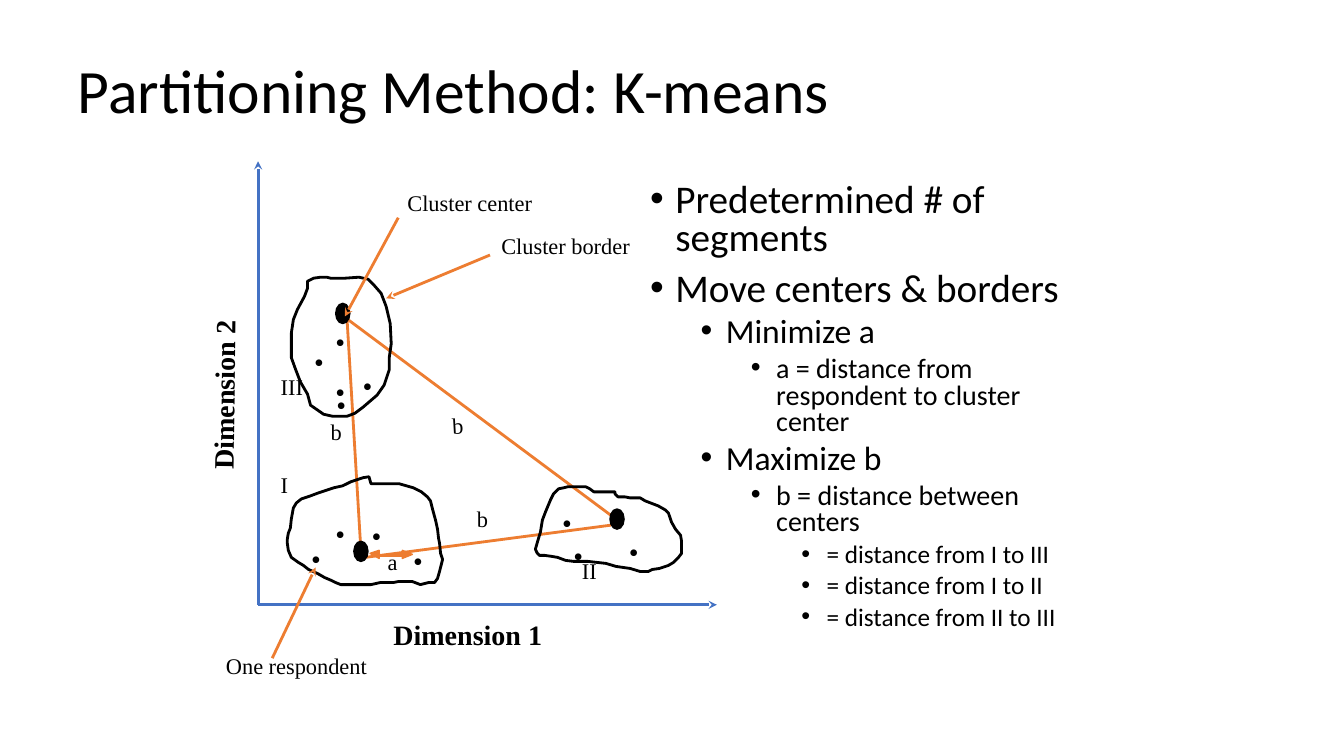
from lxml.etree import SubElement
from pptx import Presentation
from pptx.dml.color import RGBColor
from pptx.enum.shapes import MSO_CONNECTOR, MSO_SHAPE
from pptx.enum.text import MSO_ANCHOR, MSO_AUTO_SIZE, PP_ALIGN
from pptx.oxml.ns import qn
from pptx.util import Inches, Pt

BLACK = RGBColor(0x00, 0x00, 0x00)
ORANGE = RGBColor(0xED, 0x7D, 0x31)
BLUE = RGBColor(0x44, 0x72, 0xC4)
SANS = "Calibri"
SERIF = "Times New Roman"

BULLET_SIZES = [28, 24, 20, 18]
BULLETS = [
    (0, "Predetermined # of segments"),
    (0, "Move centers & borders"),
    (1, "Minimize a"),
    (2, "a = distance from respondent to cluster center"),
    (1, "Maximize b"),
    (2, "b = distance between centers"),
    (3, "= distance from I to III"),
    (3, "= distance from I to II"),
    (3, "= distance from II to III"),
]

RESPONDENTS = [
    (3.17, 3.17), (3.44, 3.61), (2.96, 3.37), (3.17, 3.67), (3.18, 3.8),
    (3.53, 5.09), (3.94, 5.34), (3.17, 5.08), (2.93, 5.32),
    (5.42, 4.97), (5.53, 5.29), (6.08, 5.25),
]
CENTERS = [(6.05, 5.05), (3.33, 3.01), (3.51, 5.37)]
CENTER_DISTANCES = [
    ((3.44, 3.13), (3.58, 5.47)),
    ((6.06, 5.21), (3.62, 5.53)),
    ((3.45, 3.17), (6.11, 5.15)),
]
CALLOUT_ARROWS = [
    ((2.7, 6.53), (3.13, 5.63)),
    ((3.95, 2.16), (3.42, 3.14)),
    ((4.86, 2.53), (3.83, 2.96)),
]
LABELS = [
    ("One respondent", 2.13, 6.42, 1.62),
    ("Cluster center", 3.93, 1.83, 1.46),
    ("Cluster border", 4.86, 2.25, 1.5),
    ("III", 2.68, 3.65, 0.43),
    ("I", 2.68, 4.62, 0.28),
    ("II", 5.67, 5.48, 0.35),
    ("b", 3.18, 4.1, 0.31),
]

BORDER_III = [
    (3.02, 2.94), (2.95, 3.07), (2.91, 3.17), (2.89, 3.3), (2.89, 3.55),
    (2.93, 3.66), (2.98, 3.79), (3.05, 3.91), (3.08, 4.02), (3.21, 4.11),
    (3.3, 4.13), (3.44, 4.13), (3.52, 4.1), (3.6, 4.04), (3.74, 3.92),
    (3.81, 3.82), (3.86, 3.67), (3.86, 3.55), (3.88, 3.41), (3.87, 3.21),
    (3.83, 3.04), (3.78, 2.91), (3.71, 2.83), (3.65, 2.77), (3.56, 2.75),
    (3.42, 2.76), (3.28, 2.76), (3.24, 2.75), (3.18, 2.75), (3.11, 2.76),
    (3.05, 2.79), (3.05, 2.86),
]
BORDER_I = [
    (2.94, 4.99), (2.99, 4.95), (3.08, 4.92), (3.16, 4.89), (3.25, 4.86),
    (3.31, 4.84), (3.4, 4.82), (3.48, 4.78), (3.54, 4.76), (3.6, 4.74),
    (3.66, 4.73), (3.68, 4.8), (3.96, 4.8), (4.1, 4.84), (4.18, 4.88),
    (4.24, 4.93), (4.27, 4.97), (4.29, 5.05), (4.32, 5.16), (4.34, 5.25),
    (4.35, 5.34), (4.36, 5.39), (4.37, 5.49), (4.39, 5.55), (4.36, 5.67),
    (4.34, 5.74), (4.31, 5.78), (4.25, 5.78), (4.17, 5.8), (4.09, 5.77),
    (3.95, 5.77), (3.9, 5.78), (3.77, 5.78), (3.68, 5.8), (3.38, 5.8),
    (3.33, 5.78), (3.29, 5.76), (3.22, 5.73), (3.15, 5.69), (3.06, 5.65),
    (3.01, 5.61), (2.96, 5.58), (2.89, 5.53), (2.86, 5.46), (2.85, 5.39),
    (2.85, 5.35), (2.86, 5.29), (2.88, 5.24), (2.89, 5.15), (2.91, 5.04),
]
BORDER_II = [
    (5.46, 4.96), (5.49, 4.9), (5.54, 4.85), (5.59, 4.84), (5.63, 4.83),
    (5.81, 4.83), (5.85, 4.85), (5.89, 4.88), (6.1, 4.88), (6.1, 4.9),
    (6.13, 4.93), (6.2, 4.93), (6.25, 4.94), (6.35, 4.94), (6.4, 4.97),
    (6.53, 5.02), (6.6, 5.06), (6.63, 5.09), (6.65, 5.15), (6.66, 5.18),
    (6.7, 5.25), (6.75, 5.31), (6.76, 5.37), (6.76, 5.49), (6.73, 5.53),
    (6.68, 5.58), (6.63, 5.61), (6.54, 5.64), (6.47, 5.65), (6.43, 5.67),
    (6.35, 5.67), (6.25, 5.64), (6.11, 5.62), (6.01, 5.59), (5.83, 5.57),
    (5.69, 5.57), (5.61, 5.56), (5.53, 5.53), (5.47, 5.52), (5.4, 5.51),
    (5.35, 5.51), (5.33, 5.49), (5.31, 5.45), (5.33, 5.38), (5.36, 5.28),
    (5.38, 5.16), (5.41, 5.08),
]
ARROWHEADS_A = [
    [(3.99, 5.46), (3.99, 5.54), (4.09, 5.5)],
    [(3.76, 5.54), (3.76, 5.46), (3.67, 5.49)],
]


def write(paragraph, text, font=SERIF, size=16, bold=False, align=PP_ALIGN.CENTER):
    paragraph.text = text
    paragraph.alignment = align
    paragraph.font.name = font
    paragraph.font.size = Pt(size)
    paragraph.font.bold = bold
    paragraph.font.color.rgb = BLACK


def add_label(slide, text, left, top, width, height=0.37, wrap=True, rotation=0, **style):
    label = slide.shapes.add_textbox(Inches(left), Inches(top), Inches(width), Inches(height))
    label.rotation = rotation
    label.text_frame.word_wrap = wrap
    label.text_frame.auto_size = MSO_AUTO_SIZE.SHAPE_TO_FIT_TEXT
    write(label.text_frame.paragraphs[0], text, **style)


def add_line(slide, start, end, color=ORANGE, arrow=False):
    x1, y1, x2, y2 = (Inches(value) for value in (*start, *end))
    line = slide.shapes.add_connector(MSO_CONNECTOR.STRAIGHT, x1, y1, x2, y2)
    line.line.color.rgb = color
    line.line.width = Pt(2)
    properties = line._element.spPr
    if arrow:
        SubElement(properties.find(qn("a:ln")), qn("a:tailEnd"), type="stealth")
    SubElement(properties, qn("a:effectLst"))


def paint(shape, line_color, line_width, fill=None):
    shape.shadow.inherit = False
    if fill is None:
        shape.fill.background()
    else:
        shape.fill.solid()
        shape.fill.fore_color.rgb = fill
    shape.line.color.rgb = line_color
    shape.line.width = Pt(line_width)


def add_outline(slide, points, line_color=BLACK, line_width=2, fill=None):
    corners = [(Inches(x), Inches(y)) for x, y in points]
    builder = slide.shapes.build_freeform(*corners[0])
    builder.add_line_segments(corners[1:], close=True)
    paint(builder.convert_to_shape(), line_color, line_width, fill)


def add_center(slide, left, top):
    center = slide.shapes.add_shape(
        MSO_SHAPE.OVAL, Inches(left), Inches(top), Inches(0.14), Inches(0.2))
    paint(center, BLACK, 1, BLACK)


def add_title(slide, text):
    title = slide.shapes.title
    title.left, title.top = Inches(0.67), Inches(0.3)
    title.width, title.height = Inches(12), Inches(1.25)
    title.text_frame.vertical_anchor = MSO_ANCHOR.MIDDLE
    heading = title.text_frame.paragraphs[0]
    write(heading, text, font=SANS, size=44, align=PP_ALIGN.LEFT)
    heading.line_spacing = 0.9


def add_bullets(slide):
    frame = slide.shapes.add_textbox(
        Inches(6.35), Inches(1.77), Inches(4.42), Inches(4.95)).text_frame
    frame.word_wrap = True
    for index, (level, text) in enumerate(BULLETS):
        item = frame.add_paragraph() if index else frame.paragraphs[0]
        item.level = level
        item.line_spacing = 0.8
        if index:
            item.space_before = Pt(5 if level else 10)
        properties = item._p.get_or_add_pPr()
        properties.set("marL", str(Inches(0.25 + 0.5 * level)))
        properties.set("indent", str(Inches(-0.25)))
        SubElement(properties, qn("a:buFont"), typeface="Arial")
        SubElement(properties, qn("a:buChar"), char="•")
        write(item, text, font=SANS, size=BULLET_SIZES[level], align=PP_ALIGN.LEFT)


def main():
    deck = Presentation()
    deck.slide_width, deck.slide_height = Inches(13.33), Inches(7.5)
    slide = deck.slides.add_slide(deck.slide_layouts.get_by_name("Title Only"))
    add_title(slide, "Partitioning Method: K-means")

    for start, end in CENTER_DISTANCES:
        add_line(slide, start, end)
    add_label(slide, "b", 4.61, 4.96, 0.35)
    add_label(slide, "b", 4.34, 4.04, 0.4, rotation=-3.3)
    add_bullets(slide)

    for arrowhead in ARROWHEADS_A:
        add_outline(slide, arrowhead, ORANGE, 1, ORANGE)
    add_line(slide, (3.74, 5.51), (4.01, 5.51))
    add_label(slide, "a", 3.73, 5.39, 0.33)

    origin = (2.56, 6)
    for axis_end in [(2.56, 1.6), (7.11, 6)]:
        add_line(slide, origin, axis_end, BLUE, arrow=True)
    add_label(slide, "Dimension 2", 0.86, 3.7, 2.72, 0.44, rotation=-89.3, size=20, bold=True)
    add_label(slide, "Dimension 1", 3.57, 6.08, 2.14, 0.44, size=20, bold=True)

    for left, top in RESPONDENTS:
        add_label(slide, "•", left, top, 0.41, 0.44, size=20)
    for left, top in CENTERS:
        add_center(slide, left, top)
    for border in (BORDER_III, BORDER_I, BORDER_II):
        add_outline(slide, border)
    for start, end in CALLOUT_ARROWS:
        add_line(slide, start, end, arrow=True)
    for text, left, top, width in LABELS:
        add_label(slide, text, left, top, width, wrap=False)
    deck.save("out.pptx")


if __name__ == "__main__":
    main()
